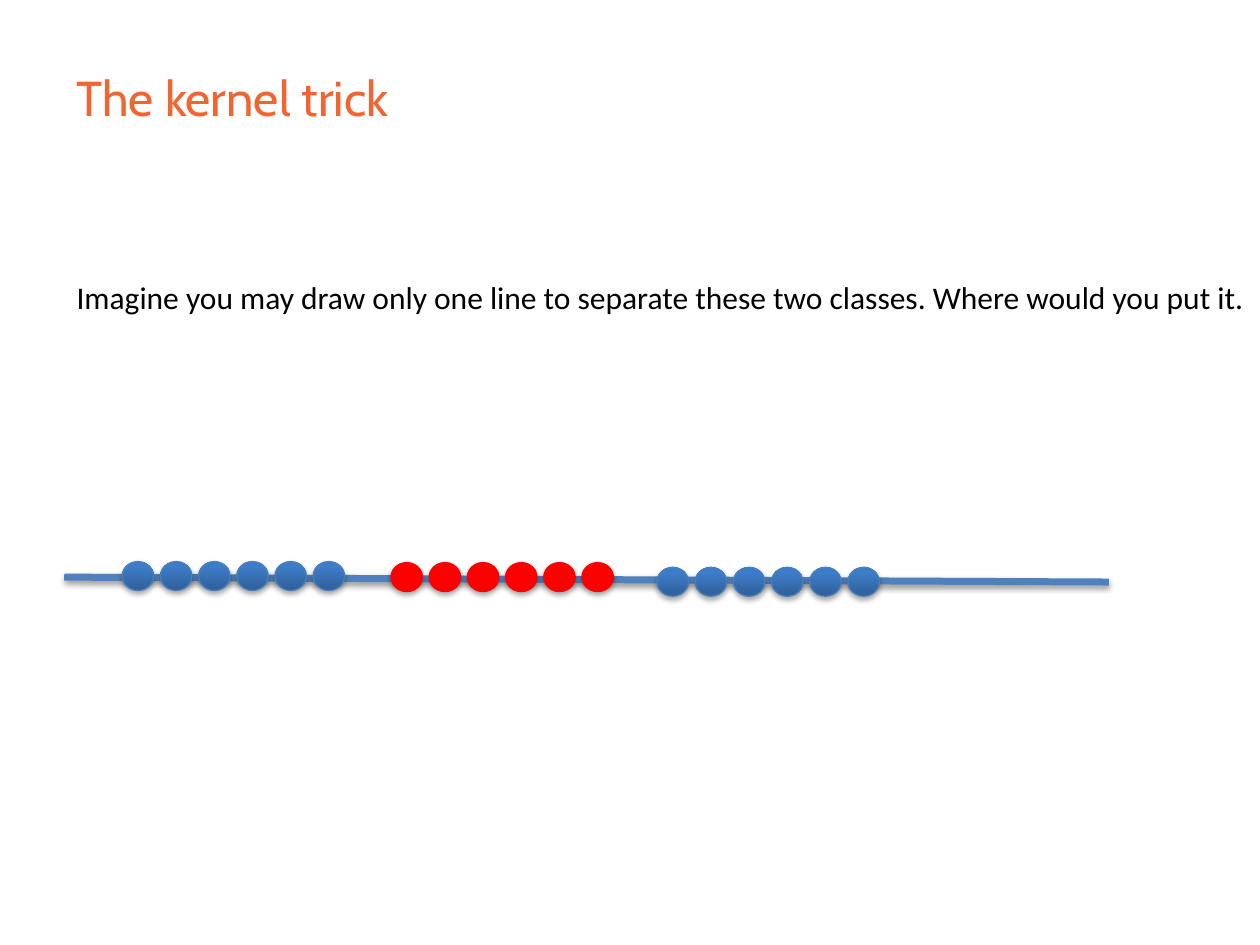
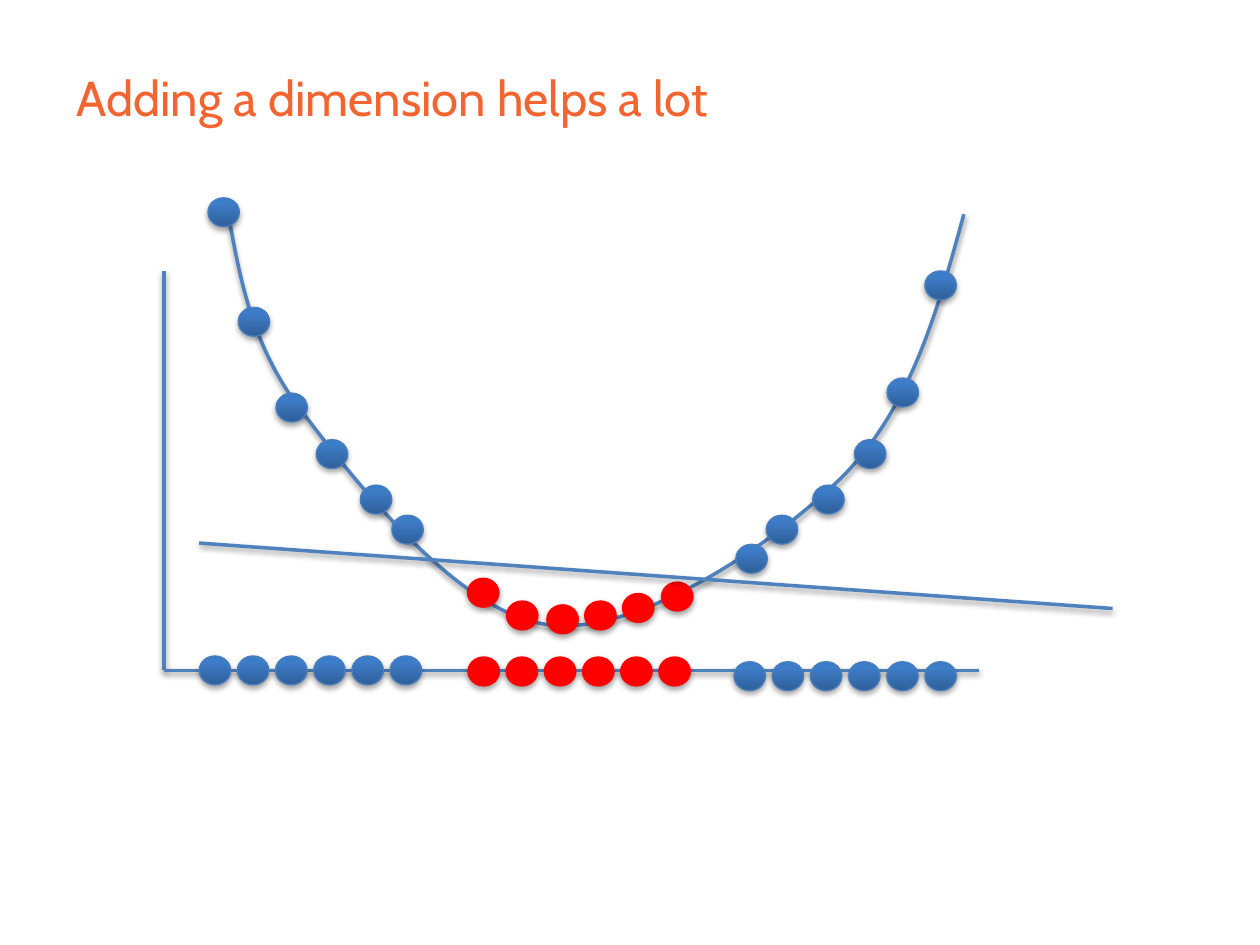
from copy import deepcopy

from lxml.etree import SubElement
from pptx import Presentation
from pptx.dml.color import RGBColor
from pptx.enum.shapes import MSO_CONNECTOR as Connector, MSO_SHAPE as Shape
from pptx.enum.text import MSO_ANCHOR as Anchor, MSO_AUTO_SIZE as AutoSize
from pptx.oxml.ns import qn
from pptx.util import Pt

COLORS = {
    "title": "F26531",
    "text": "000000",
    "line": "4F81BD",
    "dot_edge": "4B7EBC",
    "dot_dark": "2F5F99",
    "dot_mid": "3D7CC7",
    "dot_light": "3A7CCB",
    "red": "FF0000",
    "shadow": "000000",
}
TITLE_BOX = (36.72, 10.08, 646.56, 90)
QUESTION_BOX = (36.72, 155.52, 688.32, 28.8)
NUMBER_LINE_BOX = (36.72, 320.9, 596.9, 19.9)
PLOT_BOX = (93.6, 113.04, 542.2, 270)

DOT_WIDTH, DOT_HEIGHT = 18, 16.56
DOT_PITCH = 21.82
DOTS_PER_CLASS = 6
CLASS_ROWS = [(0, 0, "blue"), (305.6, 3.3, "blue"), (153.6, 0.6, "red")]

CURVE = [
    (36.7, 8.6),
    (43.9, 47.5), (50.4, 86.4), (81.4, 125.3),
    (111.6, 164.9), (169.9, 239), (221, 244.1),
    (272.2, 249.8), (348.5, 198), (388.1, 159.1),
    (427, 119.5), (442.1, 64.8), (457.2, 9.4),
]
LIFTED_DOTS = {
    "blue": [
        (25.2, 0), (42.5, 62.6), (64.1, 111.6), (87.1, 138.2),
        (112.3, 164.2), (130.3, 181.4), (326.9, 198), (344.2, 181.4),
        (370.8, 164.2), (394.6, 138.2), (413.3, 103), (434.9, 41.8),
    ],
    "red": [
        (173.5, 217.4), (195.8, 230.4), (218.9, 232.6),
        (240.5, 230.4), (262.1, 226.1), (284.4, 219.6),
    ],
}


def rgb(name):
    return RGBColor.from_string(COLORS[name])


def add_shadow(item, distance, opacity):
    properties = item._element.spPr
    effects = properties.find(qn("a:effectLst"))
    if effects is None:
        effects = SubElement(properties, qn("a:effectLst"))
    shadow = SubElement(effects, qn("a:outerShdw"), blurRad=str(Pt(3.15)),
                        dist=str(Pt(distance)), dir="5400000", rotWithShape="0")
    color = SubElement(shadow, qn("a:srgbClr"), val=COLORS["shadow"])
    SubElement(color, qn("a:alpha"), val=str(opacity * 1000))


def style_stroke(item, width):
    item.line.color.rgb = rgb("line")
    item.line.width = Pt(width)
    add_shadow(item, 1.57, 38)


def add_text(page, box, text, font, size, color):
    frame = page.shapes.add_textbox(*map(Pt, box)).text_frame
    frame.text = text
    span = frame.paragraphs[0].runs[0]
    span.font.name = font
    span.font.size = Pt(size)
    span.font.color.rgb = rgb(color)
    return frame


def add_title(page, box, text):
    frame = add_text(page, box, text, "Cabin", 28, "title")
    frame.word_wrap = True
    frame.vertical_anchor = Anchor.MIDDLE


def add_question(page, box, text):
    frame = add_text(page, box, text, "Calibri", 18, "text")
    frame.word_wrap = False
    frame.auto_size = AutoSize.SHAPE_TO_FIT_TEXT


def add_line(page, box, start, end, width):
    left, top = box[:2]
    ends = [Pt(value) for x, y in (start, end) for value in (left + x, top + y)]
    style_stroke(page.shapes.add_connector(Connector.STRAIGHT, *ends), width)


def fill_blue(dot):
    dot.fill.gradient()
    dot.fill.gradient_angle = 90
    stop_list = dot._element.spPr.find(".//" + qn("a:gsLst"))
    stop_list.append(deepcopy(stop_list[1]))
    shades = [(0, "dot_dark"), (0.8, "dot_mid"), (1, "dot_light")]
    for stop, (position, shade) in zip(dot.fill.gradient_stops, shades):
        stop.position = position
        stop.color.rgb = rgb(shade)


def add_dot(page, box, x, y, kind):
    dot = page.shapes.add_shape(Shape.OVAL, Pt(box[0] + x), Pt(box[1] + y),
                                Pt(DOT_WIDTH), Pt(DOT_HEIGHT))
    if kind == "red":
        dot.fill.solid()
        dot.fill.fore_color.rgb = rgb("red")
    else:
        fill_blue(dot)
    dot.line.color.rgb = rgb("red" if kind == "red" else "dot_edge")
    dot.line.width = Pt(0.75)
    dot.shadow.inherit = False
    add_shadow(dot, 1.81, 35)


def add_class_rows(page, box, x, y):
    for row_x, row_y, kind in CLASS_ROWS:
        for index in range(DOTS_PER_CLASS):
            add_dot(page, box, x + row_x + index * DOT_PITCH, y + row_y, kind)


def add_curve(page, box):
    points = [(Pt(box[0] + x), Pt(box[1] + y)) for x, y in CURVE]
    builder = page.shapes.build_freeform(*points[0])
    builder.add_line_segments(points[1:], close=False)
    curve = builder.convert_to_shape()
    outline = curve._element.spPr.find(".//" + qn("a:path"))
    segments = outline.findall(qn("a:lnTo"))
    for first in range(0, len(segments), 3):
        bezier = SubElement(outline, qn("a:cubicBezTo"))
        for segment in segments[first:first + 3]:
            bezier.append(segment[0])
            outline.remove(segment)
    curve.fill.background()
    curve.shadow.inherit = False
    style_stroke(curve, 2)


def add_number_line(page, box):
    add_line(page, box, (0, 8.9), (box[2], 11.7), 4)
    add_class_rows(page, box, 33.1, 0)


def add_lifted_plot(page, box):
    width, height = box[2:]
    add_curve(page, box)
    add_line(page, box, (0, 41.8), (0, height), 2)
    add_line(page, box, (0, height), (465.8, height), 2)
    add_class_rows(page, box, 20.2, height - 8.2)
    for kind, dots in LIFTED_DOTS.items():
        for x, y in dots:
            add_dot(page, box, x, y, kind)
    add_line(page, box, (20.2, 197.3), (width, 234.7), 2)


def add_page(deck, title):
    page = deck.slides.add_slide(deck.slide_layouts[6])
    add_title(page, TITLE_BOX, title)
    return page


def main():
    deck = Presentation()
    deck.slide_width, deck.slide_height = Pt(720), Pt(540)

    page = add_page(deck, "The kernel trick")
    add_number_line(page, NUMBER_LINE_BOX)
    add_question(page, QUESTION_BOX,
                 "Imagine you may draw only one line to separate these two "
                 "classes. Where would you put it.")

    page = add_page(deck, "Adding a dimension helps a lot")
    add_lifted_plot(page, PLOT_BOX)

    deck.save("out.pptx")


if __name__ == "__main__":
    main()
